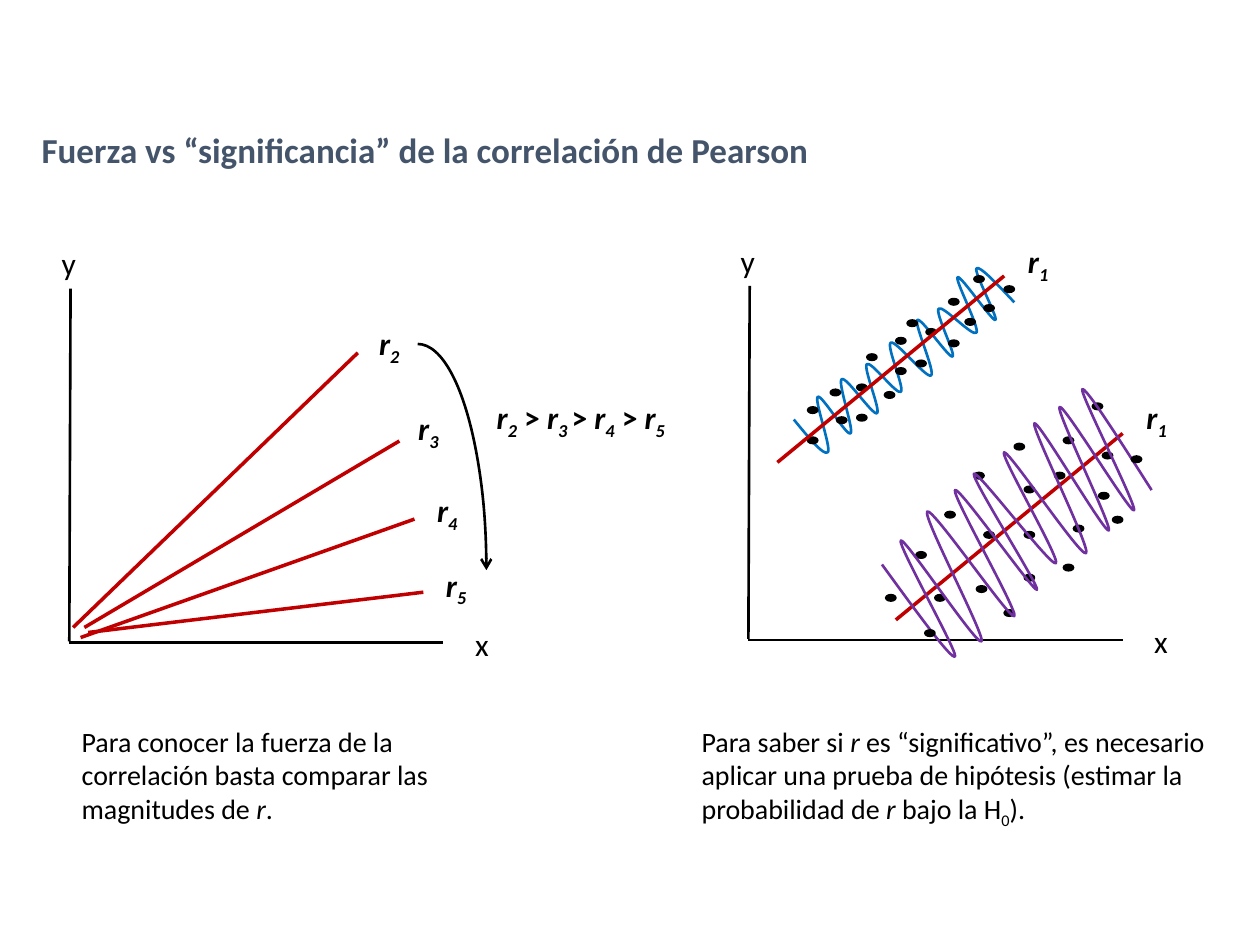
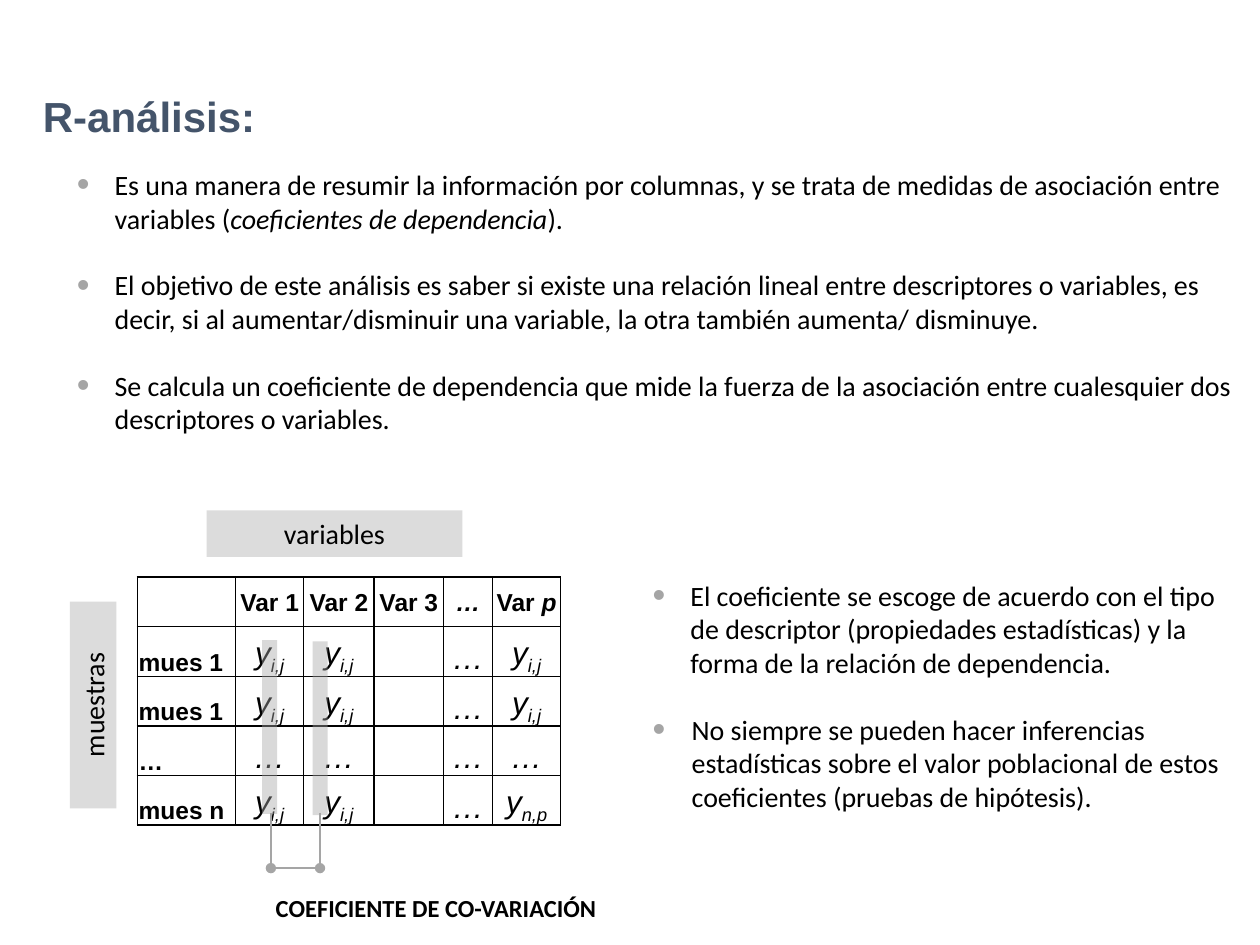
"""Build two slides on Pearson correlation strength and R-analysis."""
from lxml import etree
from pptx import Presentation
from pptx.dml.color import RGBColor
from pptx.enum.shapes import MSO_CONNECTOR, MSO_SHAPE
from pptx.enum.text import MSO_ANCHOR, MSO_AUTO_SIZE, PP_ALIGN
from pptx.oxml.ns import qn
from pptx.util import Inches, Pt

LEFT, MID = PP_ALIGN.LEFT, PP_ALIGN.CENTER
TOP, CENTER, BOTTOM = MSO_ANCHOR.TOP, MSO_ANCHOR.MIDDLE, MSO_ANCHOR.BOTTOM
FIXED = MSO_AUTO_SIZE.NONE
LINE = MSO_CONNECTOR.STRAIGHT
OVAL, ARC, RECT = MSO_SHAPE.OVAL, MSO_SHAPE.ARC, MSO_SHAPE.RECTANGLE
BLACK, SLATE, GRAY = "000000", "44546A", "A5A5A5"
RED, BLUE, PURPLE = "C00000", "0070C0", "7030A0"
color = RGBColor.from_string


def write(frame, lines, size, bold=False, hue=BLACK, font="Calibri", align=LEFT):
    """Fill a frame; | parts runs, a leading * means italic and _ subscript."""
    frame.word_wrap = True
    for n, line in enumerate(lines):
        para = frame.add_paragraph() if n else frame.paragraphs[0]
        para.alignment = align
        para.space_before = Pt(0)
        for piece in line.split("|"):
            run = para.add_run()
            run.text = piece.lstrip("*_")
            mark = piece[:len(piece) - len(run.text)]
            run.font.size, run.font.name = Pt(size), font
            run.font.bold, run.font.italic = bold, "*" in mark
            run.font.color.rgb = color(hue)
            if "_" in mark:
                run.font._element.set("baseline", "-25000")


def link(slide, start, end, hue, width):
    """Draw a plain straight line and return it."""
    rule = slide.shapes.add_connector(LINE, *map(Inches, start + end))
    rule.line.color.rgb = color(hue)
    rule.line.width = Pt(width)
    etree.SubElement(rule._element.spPr, qn("a:effectLst"))
    return rule


deck = Presentation()
deck.slide_width, deck.slide_height = Inches(10), Inches(7.5)
force = deck.slides.add_slide(deck.slide_layouts[5])
study = deck.slides.add_slide(deck.slide_layouts[3])

titles = [
    (force, "Fuerza vs “significancia” de la correlación de Pearson", 20, "Calibri", (0.23, 0.97, 7.89, 0.44)),
    (study, "R-análisis:", 24, "Arial", (0.24, 0.67, 2.11, 0.5)),
]
for slide, text, size, font, box in titles:
    head = slide.shapes.title
    head.left, head.top, head.width, head.height = map(Inches, box)
    head.text_frame.auto_size = FIXED
    head.text_frame.vertical_anchor = TOP
    write(head.text_frame, [text], size, True, SLATE, font)

for x, y in [(0.55, 5.1), (5.94, 5.08)]:
    link(force, (x + 0.01, y - 2.81), (x, y - 0.01), BLACK, 1.5)
    link(force, (x, y), (x + 2.97, y), BLACK, 1.5)

low = [(6.3, 3.33), (6.57, 3.59), (6.49, 3.15), (6.75, 3.44), (6.68, 3.01),
       (6.96, 3.28), (6.88, 2.89), (7.15, 3.11), (7.07, 2.72), (7.39, 2.98),
       (7.28, 2.54), (7.56, 2.83), (7.45, 2.45), (7.75, 2.64), (7.6, 2.2),
       (7.9, 2.54), (7.75, 2.13), (8.05, 2.4)]
wide = [(7, 4.48), (7.58, 5.21), (7.15, 4.29), (7.79, 5.09), (7.36, 4.06),
        (8.05, 4.89), (7.58, 3.89), (8.23, 4.68), (7.73, 3.76), (8.38, 4.47),
        (7.97, 3.59), (8.62, 4.39), (8.21, 3.36), (8.8, 4.21), (8.41, 3.23),
        (9, 4.05), (8.59, 3.09), (9.14, 3.89)]
under = [
    (7.53, 2.37), (7.27, 2.86), (6.8, 3.29), (7.11, 2.92), (7.53, 2.7),
    (6.88, 2.81), (6.8, 3.05), (6.59, 3.09), (7.11, 2.68), (7.02, 3.11),
    (6.64, 3.31), (6.41, 3.23), (6.41, 3.47), (7.35, 2.61), (7.66, 2.53),
    (7.2, 2.54), (8.44, 3.47), (8.52, 4.17), (7.75, 4.65), (8.13, 4.22),
    (8.72, 3.91), (7.73, 3.75), (7.81, 4.22), (7.5, 4.06), (8.13, 3.86),
    (8.13, 4.56), (7.97, 4.84), (7.27, 4.38), (7.42, 4.72), (8.37, 3.75),
    (8.75, 3.59), (8.05, 3.52), (8.83, 4.1), (8.44, 4.48), (8.67, 3.2),
]
over = [(7.97, 2.27), (7.73, 2.19), (7.81, 2.42), (8.98, 3.62), (7.03, 4.72), (7.34, 5)]
trends = [
    ((0.58, 4.98), (2.84, 2.8)), ((0.67, 4.98), (3.17, 3.5)),
    ((0.64, 5.06), (3.29, 4.12)), ((0.7, 5.02), (3.36, 4.7)),
    ((7.11, 4.92), (8.91, 3.44)), ((6.17, 3.67), (7.97, 2.19)),
]
for hue, knots, dots, lines in [(BLUE, low, under, trends), (PURPLE, wide, over, [])]:
    trail = []
    last = len(knots) - 2
    for n in range(last + 1):
        pairs = []
        for axis in (0, 1):
            a, d = knots[n][axis], knots[n + 1][axis]
            b = a + (d - knots[n - 1][axis]) / 6
            c = d - (knots[min(n + 2, last + 1)][axis] - a) / 6
            if n == 0:
                b = (a + c) / 2
            if n == last:
                c = (b + d) / 2
            pairs.append([Inches(b), Inches(c), Inches(d)])
        trail += zip(*pairs)
    pen = force.shapes.build_freeform(*map(Inches, knots[0]))
    pen.add_line_segments(trail, close=False)
    wave = pen.convert_to_shape()
    wave.shadow.inherit = False
    wave.fill.background()
    wave.line.color.rgb = color(hue)
    wave.line.width = Pt(1.5)
    track = next(wave._element.iter(qn("a:moveTo"))).getparent()
    legs = track.findall(qn("a:lnTo"))
    for n in range(0, len(legs), 3):
        curve = etree.SubElement(track, qn("a:cubicBezTo"))
        for leg in legs[n:n + 3]:
            curve.append(leg[0])
            track.remove(leg)
    for x, y in dots:
        dot = force.shapes.add_shape(OVAL, Inches(x), Inches(y), Inches(0.08), Inches(0.05))
        dot.shadow.inherit = False
        dot.fill.solid()
        dot.fill.fore_color.rgb = dot.line.color.rgb = color(BLACK)
        dot.line.width = Pt(1)
    for start, end in lines:
        link(force, start, end, RED, 2)

arc = force.shapes.add_shape(ARC, Inches(2.77), Inches(2.73), Inches(1.09), Inches(3.59))
arc.shadow.inherit = False
arc.fill.background()
arc.line.color.rgb = color(BLACK)
arc.line.width = Pt(1.5)
etree.SubElement(arc.line._get_or_add_ln(), qn("a:tailEnd"), type="arrow")

labels = [
    ("y", 0.31, 1.89, 0.47), ("x", 3.59, 4.91, 0.47),
    ("y", 5.7, 1.87, 0.47), ("x", 8.98, 4.89, 0.47),
    ("*r|*_2", 2.66, 2.52, 0.86), ("*r|*_3", 2.97, 3.2, 0.86),
    ("*r|*_4", 3.12, 3.85, 0.86), ("*r|*_5", 3.19, 4.44, 0.86),
    ("*r|*_1", 7.81, 1.87, 0.86), ("*r|*_1", 8.75, 3.11, 0.86),
    ("*r|*_2| >|* r|*_3 |> |*r|*_4| > |*r|*_5", 3.67, 3.11, 1.88),
]
for text, x, y, width in labels:
    label = force.shapes.add_textbox(Inches(x), Inches(y), Inches(width), Inches(0.4))
    write(label.text_frame, [text], 18, "*" in text, align=MID)

notes = [
    (force, "Para conocer la fuerza de la correlación basta comparar las magnitudes de |*r|.",
     16, False, (0.55, 5.7, 3.52, 0.91)),
    (force, "Para saber si |*r| es “significativo”, es necesario aplicar una prueba de hipótesis "
     "(estimar la probabilidad de |*r| bajo la H|_0|).", 16, False, (5.47, 5.7, 4.38, 0.91)),
    (study, "COEFICIENTE DE CO-VARIACIÓN", 14, True, (2.09, 7.04, 3.7, 0.34)),
]
for slide, text, size, bold, box in notes:
    note = slide.shapes.add_textbox(*map(Inches, box))
    write(note.text_frame, [text], size, bold)

lists = [
    (1, (0.51, 1.28, 9.45, 2.52), [0.3, 0.3, 0.3], [
        "Es una manera de resumir la información por columnas, y se trata de medidas de "
        "asociación entre variables (|*coeficientes de dependencia|).",
        "El objetivo de este análisis es saber si existe una relación lineal entre descriptores o "
        "variables, es decir, si al aumentar/disminuir una variable, la otra también aumenta/ disminuye.",
        "Se calcula un coeficiente de dependencia que mide la fuerza de la asociación entre "
        "cualesquier dos descriptores o variables."]),
    (2, (5.08, 4.54, 4.88, 1.99), [0.3, 0.31], [
        "El coeficiente se escoge de acuerdo con el tipo de descriptor (propiedades estadísticas) "
        "y la forma de la relación de dependencia.",
        "No siempre se pueden hacer inferencias estadísticas sobre el valor poblacional de estos "
        "coeficientes (pruebas de hipótesis)."]),
]
for slot, box, pads, items in lists:
    body = study.placeholders[slot]
    body.left, body.top, body.width, body.height = map(Inches, box)
    frame = body.text_frame
    frame.auto_size = FIXED
    frame.vertical_anchor = TOP
    write(frame, items, 16)
    for n, (para, pad) in enumerate(zip(frame.paragraphs, pads)):
        para.space_before = Pt(19 if n else 0)
        props = para._p.get_or_add_pPr()
        props.set("marL", str(Inches(pad)))
        props.set("indent", str(-Inches(pad)))
        tint = etree.SubElement(props, qn("a:buClr"))
        etree.SubElement(tint, qn("a:srgbClr"), val=GRAY)
        etree.SubElement(props, qn("a:buSzPct"), val="130000")
        etree.SubElement(props, qn("a:buFont"), typeface="Arial")
        etree.SubElement(props, qn("a:buChar"), char="•")

term = "*y|*_i,j"
rows = [
    ["", "Var 1", "Var 2", "Var 3", "*…", "Var |*p"],
    ["mues 1", term, term, "", "*…", term],
    ["mues 1", term, term, "", "*…", term],
    ["…", "*…", "*…", "", "*…", "*…"],
    ["mues n", term, term, "", "*…", "*y|*_n,p"],
]
widths = [0.78, 0.54, 0.56, 0.55, 0.39, 0.54]
grid = study.shapes.add_table(5, 6, Inches(1.09), Inches(4.58), Inches(3.36), Inches(1.97)).table
grid.first_row = grid.horz_banding = False
for col, width in zip(grid.columns, widths):
    col.width = Inches(width)
for r, row in enumerate(rows):
    for c, text in enumerate(row):
        cell = grid.cell(r, c)
        cell.margin_left = cell.margin_right = cell.margin_top = Inches(0.01)
        cell.margin_bottom = 0
        cell.vertical_anchor = BOTTOM if r else CENTER
        for side in ("a:lnL", "a:lnR", "a:lnT", "a:lnB"):
            edge = etree.SubElement(cell._tc.get_or_add_tcPr(), qn(side), w=str(Pt(1)))
            ink = etree.SubElement(edge, qn("a:solidFill"))
            etree.SubElement(ink, qn("a:srgbClr"), val=BLACK)
        cell.fill.background()
        if text:
            name = r == 0 or c == 0
            write(cell.text_frame, [text], 14 if name else 18, name, font="Arial", align=MID if c else LEFT)

bars = [
    ("variables", (1.64, 4.05, 2.03, 0.37), 0, 39),
    ("muestras", (-0.08, 5.41, 1.64, 0.37), 270, 39),
    ("", (1.85, 5.72, 1.38, 0.12), 90, 42),
    ("", (1.45, 5.71, 1.38, 0.12), 90, 42),
]
for text, box, turn, share in bars:
    bar = study.shapes.add_shape(RECT, *map(Inches, box))
    bar.shadow.inherit = False
    bar.rotation = turn
    bar.fill.solid()
    bar.fill.fore_color.rgb = color(GRAY)
    tint = bar._element.spPr.find(qn("a:solidFill"))[0]
    etree.SubElement(tint, qn("a:alpha"), val=str(share * 1000))
    bar.line.fill.background()
    if text:
        write(bar.text_frame, [text], 16, align=MID)

for x in (2.54, 2.15):
    link(study, (x, 6.45), (x, 6.87), GRAY, 1.5)
brace = link(study, (2.54, 6.89), (2.15, 6.89), GRAY, 1.5)
for tip in ("a:headEnd", "a:tailEnd"):
    etree.SubElement(brace.line._get_or_add_ln(), qn(tip), type="oval")

deck.save("out.pptx")
